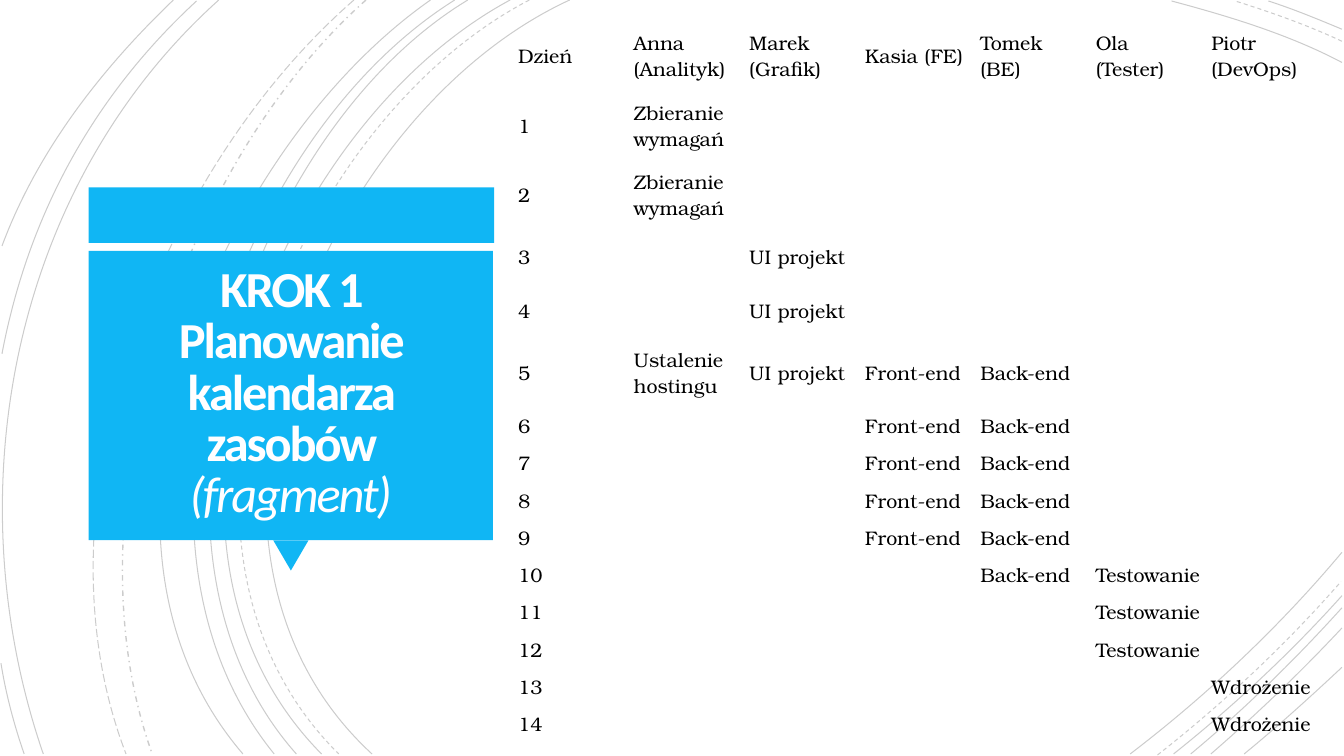
import collections
import dataclasses

import pptx
import pptx.dml.color
import pptx.enum.dml
import pptx.enum.shapes
import pptx.enum.text
import pptx.oxml
import pptx.oxml.ns
import pptx.util

PX = 9144
Box = collections.namedtuple("Box", "left top width height")
DASH = pptx.enum.dml.MSO_LINE
SHAPE = pptx.enum.shapes.MSO_SHAPE
MIDDLE = pptx.enum.text.MSO_ANCHOR.MIDDLE


@dataclasses.dataclass(frozen=True)
class Theme:
    accent: str = "10B6F4"
    title_color: str = "FFFEFF"
    ink: str = "000000"
    title_font: str = "Calibri"
    table_font: str = "TeX Gyre Bonum"
    title_size: int = 36
    table_size: int = 14
    arc_width: float = 0.75
    arc_alpha: int = 20000


THEME = Theme()
NO_GRID_STYLE = "{2D5ABB26-0587-4C30-8999-92F81FD0307C}"

ARCS = [
    (DASH.SOLID, [
        [(565, 0), (315, 115), (143, 540), (369, 748)],
        [(1331, 62), (1278, 34), (1218, 16), (1162, 1)],
        [(1121, 748), (1197, 690), (1269, 622), (1331, 548)],
        [(506, 0), (270, 127), (110, 537), (319, 748)],
        [(1331, 29), (1307, 19), (1283, 9), (1258, 1)],
        [(1164, 748), (1223, 701), (1280, 648), (1331, 591)],
        [(464, 0), (244, 133), (110, 541), (294, 748)],
        [(1181, 748), (1234, 704), (1284, 655), (1331, 603)],
        [(451, 0), (231, 138), (97, 533), (272, 748)],
        [(1201, 748), (1246, 709), (1290, 667), (1331, 623)],
        [(427, 0), (217, 147), (53, 529), (241, 748)],
        [(1234, 748), (1267, 721), (1299, 692), (1331, 662)],
        [(217, 0), (11, 185), (-46, 490), (43, 748)],
        [(195, 1), (92, 96), (28, 214), (2, 351)],
        [(1, 658), (6, 689), (14, 719), (24, 748)],
        [(172, 0), (100, 69), (37, 150), (2, 244)],
    ]),
    (DASH.DASH, [
        [(525, 0), (285, 125), (123, 537), (336, 748)],
        [(1331, 41), (1297, 25), (1260, 12), (1225, 1)],
        [(1148, 749), (1213, 698), (1275, 640), (1330, 577)],
    ]),
    (DASH.DASH_DOT, [[(363, 0), (176, 166), (65, 509), (151, 748)]]),
    (DASH.LONG_DASH, [[(351, 0), (157, 169), (29, 499), (125, 748)]]),
]

TEAM = ["Dzień", "Anna (Analityk)", "Marek (Grafik)", "Kasia (FE)",
        "Tomek (BE)", "Ola (Tester)", "Piotr (DevOps)"]
ANALYST, DESIGNER, FRONT, BACK, TESTER, DEVOPS = range(1, 7)
TASKS = [
    (ANALYST, "Zbieranie wymagań", [1, 2]),
    (ANALYST, "Ustalenie hostingu", [5]),
    (DESIGNER, "UI projekt", [3, 4, 5]),
    (FRONT, "Front-end", range(5, 10)),
    (BACK, "Back-end", range(5, 11)),
    (TESTER, "Testowanie", [10, 11, 12]),
    (DEVOPS, "Wdrożenie", [13, 14]),
]
ROW_HEIGHTS = [69] * 3 + [54, 53] + [69] + [37] * 9


def px(value):
    return pptx.util.Emu(round(value * PX))


def emu(box):
    return [px(length) for length in box]


def rgb(color):
    return pptx.dml.color.RGBColor.from_string(color)


def style_font(font, name, size, color):
    font.name = name
    font.size = pptx.util.Pt(size)
    font.color.rgb = rgb(color)


def bend(arc):
    first, *others = arc._element.findall(".//" + pptx.oxml.ns.qn("a:lnTo"))
    curve = pptx.oxml.parse_xml(f'<a:cubicBezTo {pptx.oxml.ns.nsdecls("a")}/>')
    first.addprevious(curve)
    for segment in (first, *others):
        curve.append(segment[0])
        segment.getparent().remove(segment)


def draw_arcs(slide, box):
    for dash, curves in ARCS:
        for controls in curves:
            points = [(px(box.left + x), px(box.top + y)) for x, y in controls]
            builder = slide.shapes.build_freeform(*points[0])
            builder.add_line_segments(points[1:], close=False)
            arc = builder.convert_to_shape()
            bend(arc)
            arc.shadow.inherit = False
            arc.fill.background()
            arc.line.color.rgb = rgb(THEME.ink)
            arc.line.width = pptx.util.Pt(1 if dash == DASH.DASH_DOT else THEME.arc_width)
            arc.line.dash_style = dash
            color = arc._element.spPr.find(".//" + pptx.oxml.ns.qn("a:srgbClr"))
            color.append(pptx.oxml.parse_xml(
                f'<a:alpha {pptx.oxml.ns.nsdecls("a")} val="{THEME.arc_alpha}"/>'))


def draw_title_card(slide, box):
    bar = Box(box.left, box.top, box.width, 55)
    pointer = Box(box.left + 183, box.top + 350, 35, 30)
    panel = Box(box.left, box.top + 63, box.width - 1, 287)
    for kind, area, rotation in ((SHAPE.RECTANGLE, bar, 0),
                                 (SHAPE.ISOSCELES_TRIANGLE, pointer, 180),
                                 (SHAPE.RECTANGLE, panel, 0)):
        block = slide.shapes.add_shape(kind, *emu(area))
        block.rotation = rotation
        block.shadow.inherit = False
        block.fill.solid()
        block.fill.fore_color.rgb = rgb(THEME.accent)
        block.line.fill.background()

    title_area = Box(panel.left + 9, panel.top + 8, panel.width - 18, 269)
    title = slide.shapes.add_textbox(*emu(title_area)).text_frame
    title.word_wrap = True
    title.vertical_anchor = MIDDLE
    title.margin_left = title.margin_right = px(25)
    title.margin_top = title.margin_bottom = px(5)
    heading = title.paragraphs[0]
    heading.alignment = pptx.enum.text.PP_ALIGN.CENTER
    heading.line_spacing = 0.85
    for text, bold in (("KROK 1 Planowanie kalendarza zasobów ", True),
                       ("(fragment)", False)):
        run = heading.add_run()
        run.text = text
        style_font(run.font, THEME.title_font, THEME.title_size, THEME.title_color)
        run.font.bold = bold
        run.font.italic = not bold
        run.font._element.set("spc", "-150")


def draw_calendar(slide, box):
    days = len(ROW_HEIGHTS) - 1
    grid = [TEAM] + [[str(day)] + [""] * (len(TEAM) - 1) for day in range(1, days + 1)]
    for person, task, task_days in TASKS:
        for day in task_days:
            grid[day][person] = task

    frame = slide.shapes.add_table(len(grid), len(TEAM), *emu(box))
    calendar = frame.table
    calendar.first_row = calendar.horz_banding = False
    style_id = calendar._tbl.tblPr.find(pptx.oxml.ns.qn("a:tableStyleId"))
    style_id.text = NO_GRID_STYLE
    for column in calendar.columns:
        column.width = px(box.width / len(TEAM))
    for row, height, texts in zip(calendar.rows, ROW_HEIGHTS, grid):
        row.height = px(height)
        for cell, text in zip(row.cells, texts):
            cell.fill.background()
            cell.vertical_anchor = MIDDLE
            cell.margin_left = cell.margin_right = px(4)
            cell.margin_top = cell.margin_bottom = px(2)
            cell.text_frame.text = text
            for run in cell.text_frame.paragraphs[0].runs:
                style_font(run.font, THEME.table_font, THEME.table_size, THEME.ink)


def main():
    deck = pptx.Presentation()
    deck.slide_width, deck.slide_height = px(1333), px(750)
    slide = deck.slides.add_slide(deck.slide_layouts[6])
    draw_arcs(slide, Box(0, 0, 1333, 750))
    draw_title_card(slide, Box(88, 186, 402, 380))
    draw_calendar(slide, Box(510, 21, 802, sum(ROW_HEIGHTS)))
    deck.save("out.pptx")


if __name__ == "__main__":
    main()
